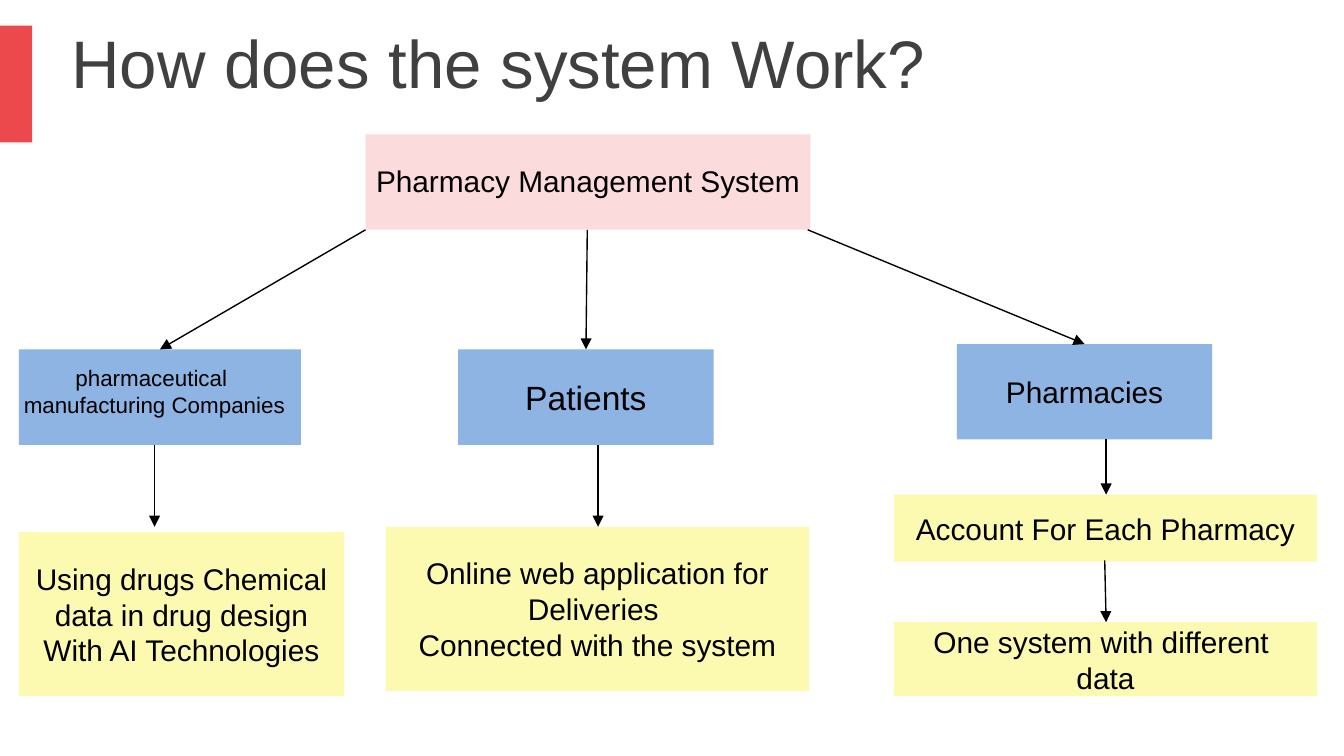
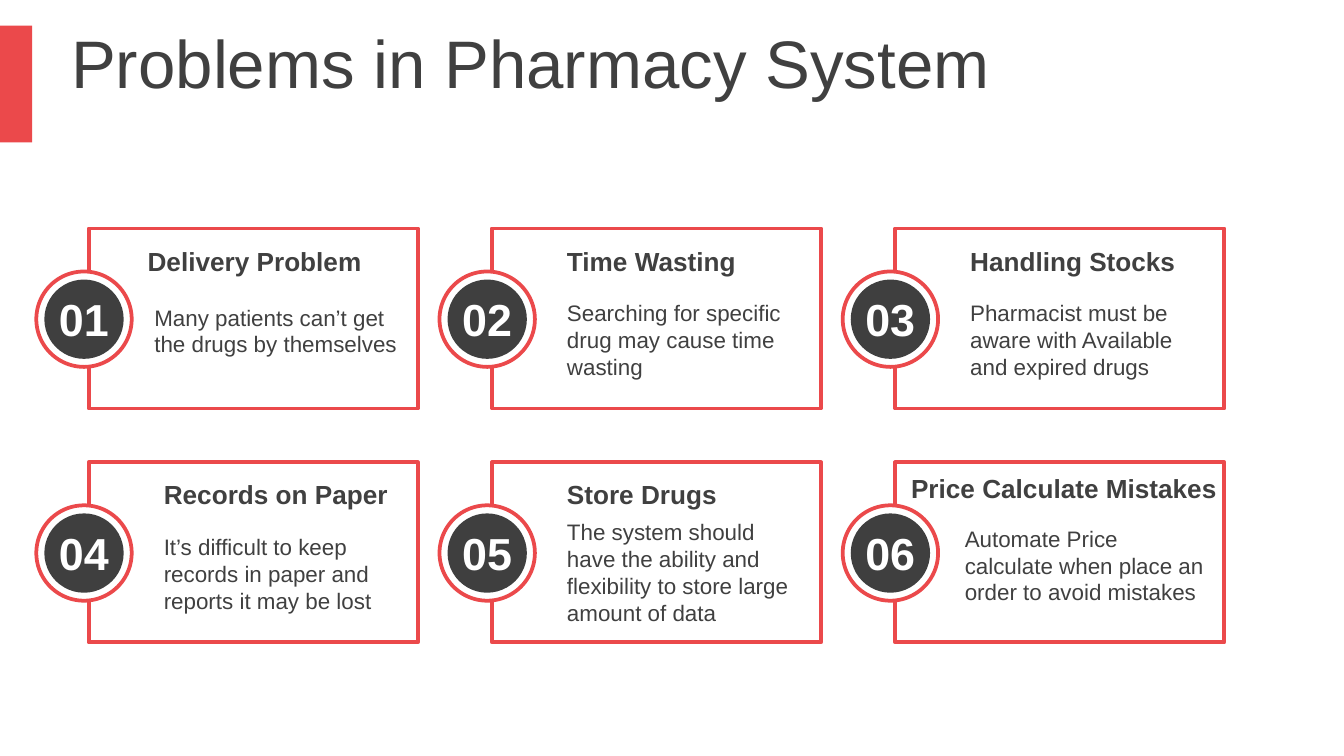
import pptx
import pptx.dml.color
import pptx.enum.shapes
import pptx.enum.text
import pptx.oxml
import pptx.oxml.ns
import pptx.util

Inches = pptx.util.Inches
Pt = pptx.util.Pt
SHAPE = pptx.enum.shapes.MSO_SHAPE
ALIGN = pptx.enum.text.PP_ALIGN
ANCHOR = pptx.enum.text.MSO_ANCHOR
FIT = pptx.enum.text.MSO_AUTO_SIZE

FONT = "Arial"
COLORS = {
    "accent": "EB494B",
    "text": "404040",
    "badge": "3F3F3F",
    "white": "FFFFFF",
    "black": "000000",
    "root": "FBDBDB",
    "branch": "8EB4E3",
    "leaf": "FCFAB0",
}


def rgb(name):
    return pptx.dml.color.RGBColor.from_string(COLORS[name])


# Kinds of element
def write(shape, text, size, color, bold=False, align=ALIGN.LEFT):
    """Fill a shape with text, one paragraph per line."""
    frame = shape.text_frame
    frame.text = text
    frame.vertical_anchor = ANCHOR.MIDDLE
    for paragraph in frame.paragraphs:
        paragraph.alignment = align
        paragraph.font.name = FONT
        paragraph.font.size = Pt(size)
        paragraph.font.bold = bold
        paragraph.font.color.rgb = rgb(color)


def add_block(shapes, kind, box, fill, outline=None):
    shape = shapes.add_shape(kind, *map(Inches, box))
    shape.shadow.inherit = False
    shape.fill.solid()
    shape.fill.fore_color.rgb = rgb(fill)
    if outline:
        shape.line.color.rgb = rgb(outline)
        shape.line.width = Pt(2)
    else:
        shape.line.fill.background()
    return shape


def add_label(shapes, box, text, size, color, bold=False, align=ALIGN.LEFT, wrap=True):
    label = shapes.add_textbox(*map(Inches, box))
    label.text_frame.word_wrap = wrap
    label.text_frame.auto_size = FIT.SHAPE_TO_FIT_TEXT
    write(label, text, size, color, bold, align)


def add_arrow(shapes, start, end):
    arrow = shapes.add_connector(
        pptx.enum.shapes.MSO_CONNECTOR.STRAIGHT, *map(Inches, start + end))
    arrow.line.color.rgb = rgb("black")
    arrow.line.width = Pt(0.75)
    properties = arrow.element.spPr
    line = properties.find(pptx.oxml.ns.qn("a:ln"))
    namespace = pptx.oxml.ns.nsdecls("a")
    line.append(pptx.oxml.parse_xml(f'<a:tailEnd {namespace} type="triangle"/>'))
    properties.append(pptx.oxml.parse_xml(f"<a:effectLst {namespace}/>"))


def add_titled_slide(presentation, title_text):
    """Slide with the red side band and the title."""
    slide = presentation.slides.add_slide(presentation.slide_layouts[5])
    title = slide.shapes.title
    title.left, title.top, title.width, title.height = map(
        Inches, (0.43, 0.14, 7.64, 0.63))
    write(title, title_text, 36, "text")
    title.text_frame.auto_size = FIT.NONE
    add_block(slide.shapes, SHAPE.RECTANGLE, (0, 0.19, 0.24, 0.87), "accent")
    return slide


# Slide 1: tree of the system
def build_system_slide(presentation):
    shapes = add_titled_slide(presentation, "How does the system Work?").shapes
    nodes = [
        # box, fill, size, text
        ((2.72, 1, 3.31, 0.71), "root", 16, ""),
        ((0.14, 2.6, 2.1, 0.71), "branch", 12, ""),
        ((3.41, 2.6, 1.9, 0.71), "branch", 18, "Patients"),
        ((7.12, 2.56, 1.9, 0.71), "branch", 16, "Pharmacies"),
        ((0.14, 3.96, 2.42, 1.22), "leaf", 16,
         "Using drugs Chemical data in drug design\nWith AI Technologies"),
        ((2.87, 3.92, 3.15, 1.22), "leaf", 16,
         "Online web application for\nDeliveries \nConnected with the system"),
        ((6.65, 3.68, 3.15, 0.5), "leaf", 16, "Account For Each Pharmacy"),
        ((6.65, 4.63, 3.15, 0.55), "leaf", 16, "One system with different \ndata"),
    ]
    for box, fill, size, text in nodes:
        node = add_block(shapes, SHAPE.RECTANGLE, box, fill)
        if text:
            write(node, text, size, "black", align=ALIGN.CENTER)

    arrows = [
        ((2.72, 1.71), (1.19, 2.6)),
        ((4.37, 1.71), (4.36, 2.6)),
        ((6.01, 1.71), (8.07, 2.56)),
        ((1.15, 3.31), (1.15, 3.92)),
        ((4.45, 3.31), (4.45, 3.92)),
        ((8.23, 3.27), (8.23, 3.68)),
        ((8.22, 4.17), (8.23, 4.63)),
    ]
    for start, end in arrows:
        add_arrow(shapes, start, end)

    # Labels wider than their boxes
    add_label(shapes, (2.7, 1.16, 3.4, 0.37), "Pharmacy Management System",
              16, "black", wrap=False)
    add_label(shapes, (0, 2.66, 2.3, 0.5), "pharmaceutical \nmanufacturing Companies",
              12, "black", align=ALIGN.CENTER)


# Slide 2: numbered cards
def add_card(shapes, left, top, number, heading, heading_box, body, body_box):
    """Card at left, top; the inner boxes are relative to that corner."""
    def place(box):
        return (left + box[0], top + box[1], box[2], box[3])

    add_block(shapes, SHAPE.RECTANGLE, place((0, 0, 2.45, 1.34)), "white", "accent")

    caption = shapes.add_group_shape().shapes
    add_label(caption, place(heading_box), heading, 14, "text", bold=True)
    add_label(caption, place(body_box), body, 12, "text")

    badge = shapes.add_group_shape().shapes
    add_block(badge, SHAPE.OVAL, place((-0.39, 0.32, 0.71, 0.71)), "white", "accent")
    add_block(badge, SHAPE.OVAL, place((-0.33, 0.38, 0.59, 0.59)), "badge")
    add_label(badge, place((-0.32, 0.42, 0.58, 0.5)), f"{number:02d}", 24, "white",
              bold=True, wrap=False)


def build_problems_slide(presentation):
    shapes = add_titled_slide(presentation, "Problems in Pharmacy System").shapes
    heading_box = (0.46, 0.07, 1.99, 0.34)
    body_box = (0.46, 0.47, 1.99, 0.71)
    cards = [
        ("Delivery Problem", (0.34, 0.07, 2.24, 0.34),
         "Many patients can’t get the drugs by themselves", (0.39, 0.51, 2.15, 0.5)),
        ("Time Wasting", heading_box,
         "Searching for specific drug may cause time wasting", body_box),
        ("Handling Stocks", heading_box,
         "Pharmacist must be aware with Available and expired drugs", body_box),
        ("Records on Paper", heading_box,
         "It’s difficult to keep records in paper and reports it may be lost ", body_box),
        ("Store Drugs", heading_box,
         "The system should have the ability and flexibility to store large "
         "amount of data ", (0.46, 0.36, 1.99, 0.91)),
        ("Price Calculate Mistakes ", (0.02, 0.02, 2.68, 0.34),
         "Automate Price\ncalculate when place an order to avoid mistakes",
         (0.42, 0.41, 1.99, 0.71)),
    ]
    for index, card in enumerate(cards):
        row, column = divmod(index, 3)
        add_card(shapes, 0.66 + 3 * column, 1.7 + 1.74 * row, index + 1, *card)


def main():
    presentation = pptx.Presentation()
    presentation.slide_width = Inches(10)
    presentation.slide_height = Inches(10) * 9 // 16
    build_system_slide(presentation)
    build_problems_slide(presentation)
    presentation.save("out.pptx")


main()
